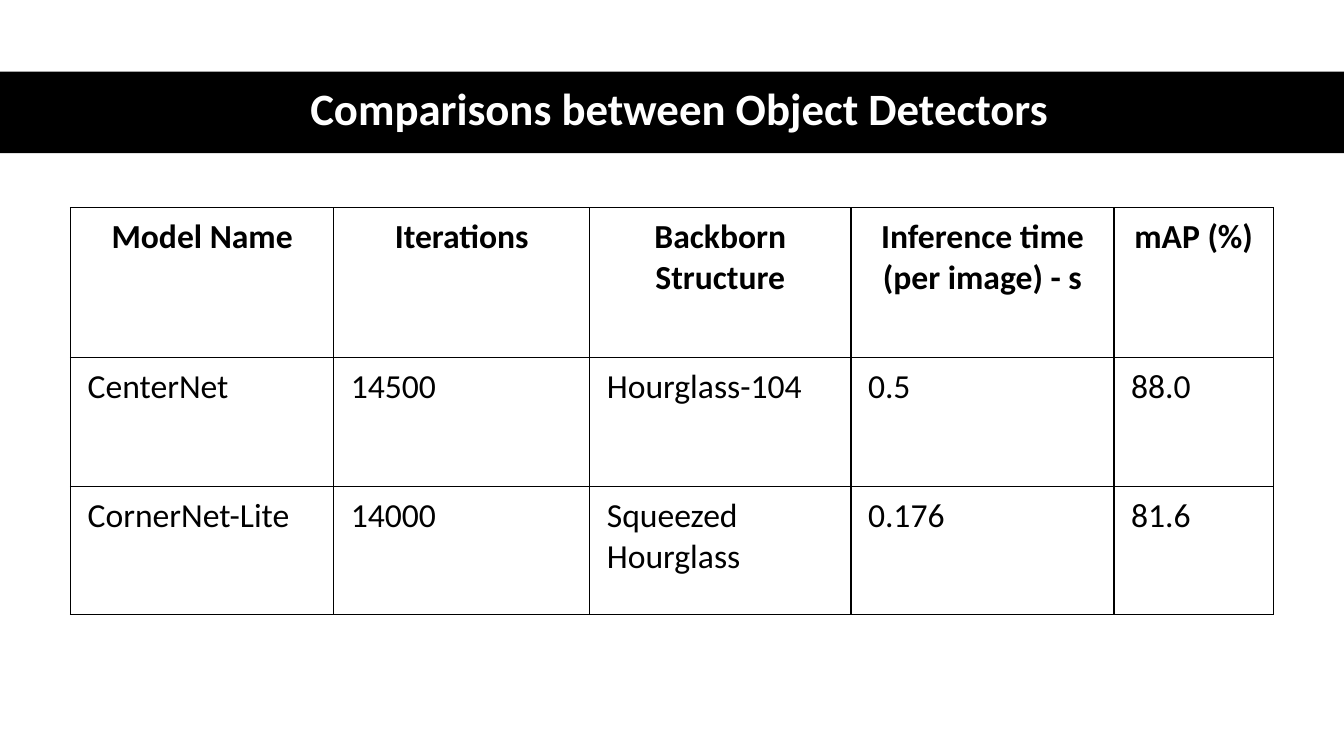
from lxml.etree import SubElement
from pptx import Presentation
from pptx.dml.color import RGBColor
from pptx.enum.shapes import MSO_SHAPE as Shape
from pptx.enum.text import MSO_ANCHOR as Anchor, PP_ALIGN as Align
from pptx.oxml.ns import qn
from pptx.util import Inches, Pt

COLORS = {"ink": "000000", "paper": "FFFFFF"}
FONT = "Calibri"
COLUMN_WIDTHS = [2.61, 2.54, 2.59, 2.61, 1.58]
ROW_HEIGHTS = [1.49, 1.28, 1.28]
DETECTORS = [
    ["Model Name", "Iterations", "Backborn Structure",
     "Inference time (per image) - s", "mAP (%)"],
    ["CenterNet", "14500", "Hourglass-104", "0.5", "88.0"],
    ["CornerNet-Lite", "14000", "Squeezed Hourglass", "0.176", "81.6"],
]
CELL_FORMAT = {
    "margin_left": Inches(0.17), "margin_right": Inches(0.17),
    "margin_top": Inches(0.09), "margin_bottom": Inches(0.09),
    "vertical_anchor": Anchor.TOP,
}


def apply_format(target, values):
    for name, value in values.items():
        setattr(target, name, value)


def write(para, text, size, color, bold, align):
    para.alignment = align
    span = para.add_run()
    span.text = text
    apply_format(span.font, {"name": FONT, "size": Pt(size), "bold": bold})
    span.font.color.rgb = RGBColor.from_string(COLORS[color])


def add_title_band(page, left, top, width, height):
    band = page.shapes.add_shape(
        Shape.RECTANGLE, *map(Inches, (left, top, width, height)))
    band.shadow.inherit = False
    band.fill.solid()
    band.fill.fore_color.rgb = RGBColor.from_string(COLORS["ink"])
    band.line.fill.background()

    title = page.shapes.add_textbox(
        *map(Inches, (left + 0.61, top - 0.01, width - 1.07, height)))
    apply_format(title.text_frame,
                 {"word_wrap": True, "vertical_anchor": Anchor.MIDDLE})
    para = title.text_frame.paragraphs[0]
    apply_format(para, {"line_spacing": 0.9, "space_after": Pt(6)})
    write(para, "Comparisons between Object Detectors", 32, "paper", True,
          Align.CENTER)


def add_borders(cell):
    properties = cell._tc.get_or_add_tcPr()
    for side in ("lnL", "lnR", "lnT", "lnB"):
        line = SubElement(properties, qn(f"a:{side}"), w=str(Pt(1)))
        fill = SubElement(line, qn("a:solidFill"))
        SubElement(fill, qn("a:srgbClr"), val=COLORS["ink"])


def add_detector_table(page, left, top, width, height):
    frame = page.shapes.add_table(
        len(ROW_HEIGHTS), len(COLUMN_WIDTHS),
        *map(Inches, (left, top, width, height)))
    table = frame.table
    apply_format(table, {"first_row": False, "horz_banding": False})
    for column, share in zip(table.columns, COLUMN_WIDTHS):
        column.width = Inches(width * share / sum(COLUMN_WIDTHS))
    for row, share in zip(table.rows, ROW_HEIGHTS):
        row.height = Inches(height * share / sum(ROW_HEIGHTS))

    for row_index, values in enumerate(DETECTORS):
        heading = row_index == 0
        for column_index, text in enumerate(values):
            cell = table.cell(row_index, column_index)
            apply_format(cell, CELL_FORMAT)
            add_borders(cell)
            cell.fill.background()
            write(cell.text_frame.paragraphs[0], text, 24, "ink", heading,
                  Align.CENTER if heading else Align.LEFT)


def main():
    deck = Presentation()
    apply_format(deck, {"slide_width": Inches(13.33),
                        "slide_height": Inches(7.5)})
    page = deck.slides.add_slide(deck.slide_layouts[6])
    add_title_band(page, 0, 0.71, 13.33, 0.81)
    add_detector_table(page, 0.7, 2.06, 11.93, 4.04)
    deck.save("out.pptx")


if __name__ == "__main__":
    main()
